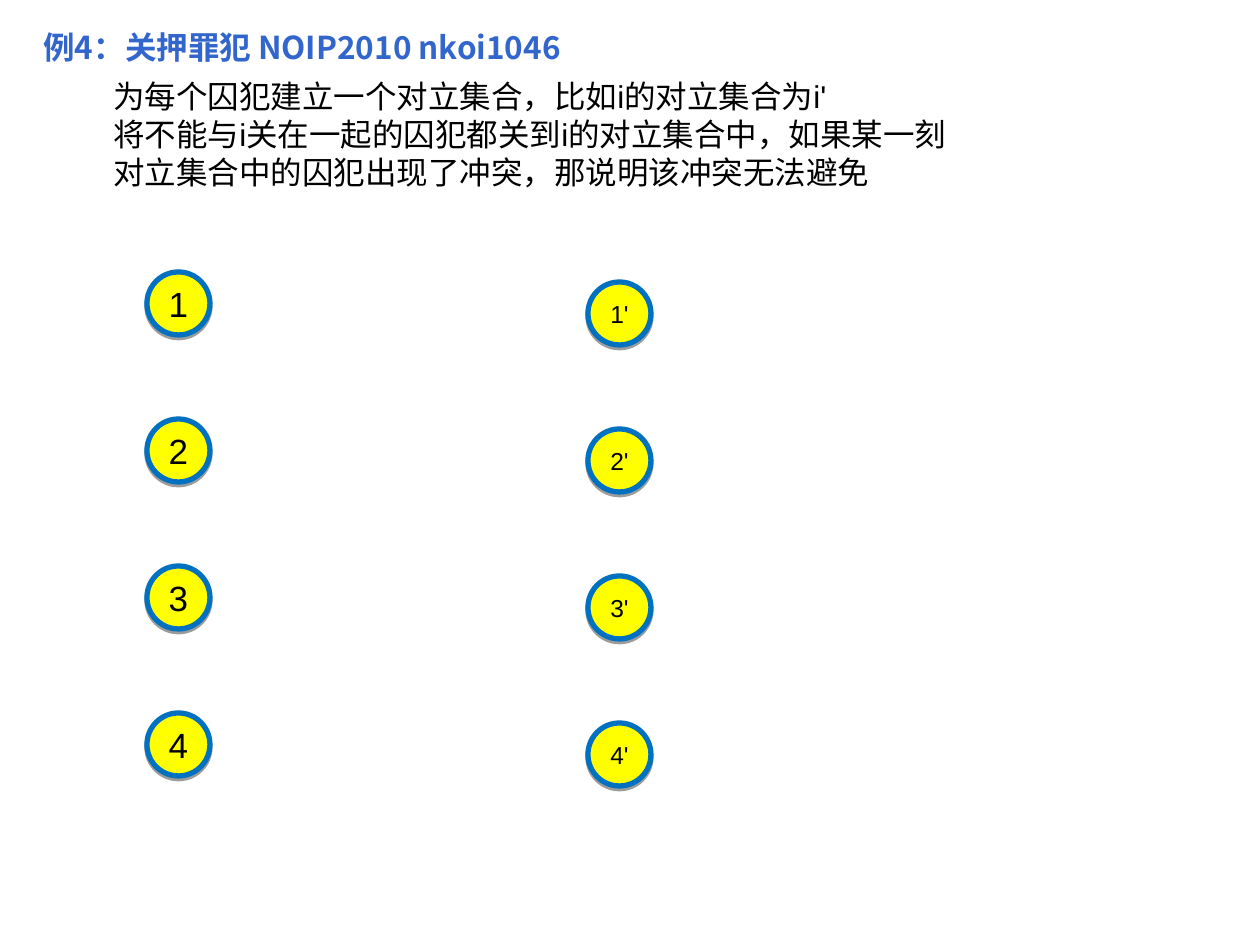
from dataclasses import dataclass

from lxml.etree import SubElement
from pptx import Presentation
from pptx.dml.color import RGBColor
from pptx.enum.shapes import MSO_SHAPE
from pptx.enum.text import MSO_ANCHOR, MSO_AUTO_SIZE, PP_ALIGN
from pptx.oxml.ns import qn
from pptx.util import Emu, Pt


@dataclass(frozen=True)
class Theme:
    """Colours, fonts and type sizes of the slide."""
    heading: str = "3366CC"
    ink: str = "000000"
    node_fill: str = "FFFF00"
    node_line: str = "0070C0"
    latin: str = "Arial"
    chinese: str = "Noto Sans CJK SC"
    body_size: int = 18
    prisoner_size: int = 20
    opposite_size: int = 14
    leading: float = 21.6


THEME = Theme()


def px(length):
    """Turn a length in px into EMU."""
    return Emu(round(length * 914400 / 126))


def write(frame, *lines, size=THEME.body_size, color=THEME.ink, font=THEME.latin,
          bold=False, align=PP_ALIGN.LEFT, leading=None):
    """Write one paragraph per line into a text frame."""
    for number, line in enumerate(lines):
        paragraph = frame.add_paragraph() if number else frame.paragraphs[0]
        paragraph.alignment = align
        if leading:
            paragraph.line_spacing = Pt(leading)
        run = paragraph.add_run()
        run.text = line
        run.font.size = Pt(size)
        run.font.bold = bold
        run.font.name = font
        run.font.color.rgb = RGBColor.from_string(color)
        SubElement(run.font._element, qn("a:ea"), typeface=THEME.chinese)


def add_passage(slide, box, *lines, **style):
    """Place a wrapping passage of text in the box."""
    frame = slide.shapes.add_textbox(*map(px, box)).text_frame
    frame.word_wrap = True
    frame.auto_size = MSO_AUTO_SIZE.SHAPE_TO_FIT_TEXT
    write(frame, *lines, leading=THEME.leading, **style)


def add_node(slide, box, label, size):
    """Place a numbered circle with a thin lower shadow."""
    node = slide.shapes.add_shape(MSO_SHAPE.OVAL, *map(px, box))
    node.fill.solid()
    node.fill.fore_color.rgb = RGBColor.from_string(THEME.node_fill)
    node.line.color.rgb = RGBColor.from_string(THEME.node_line)
    node.line.width = Pt(3)
    node.shadow.inherit = False
    effects = node._element.spPr.find(qn("a:effectLst"))
    shadow = SubElement(effects, qn("a:outerShdw"), blurRad="0", dist=str(Pt(1.6)),
                        dir="5400000", rotWithShape="0")
    tint = SubElement(shadow, qn("a:srgbClr"), val=THEME.ink)
    SubElement(tint, qn("a:alpha"), val="38000")
    node.text_frame.vertical_anchor = MSO_ANCHOR.MIDDLE
    write(node.text_frame, label, size=size, align=PP_ALIGN.CENTER)


def add_node_column(slide, box, labels, size):
    """Spread a column of circles evenly from the top to the bottom of the box."""
    left, top, diameter, height = box
    step = (height - diameter) / (len(labels) - 1)
    for row, label in enumerate(labels):
        add_node(slide, (left, top + row * step, diameter, diameter), label, size)


def main():
    """Build the slide and save it."""
    deck = Presentation()
    deck.slide_width, deck.slide_height = px(1260), px(945)
    slide = deck.slides.add_slide(deck.slide_layouts[6])

    add_passage(slide, (31, 22, 727, 50), "例4：关押罪犯 NOIP2010 nkoi1046",
                color=THEME.heading, font=THEME.chinese, bold=True)
    prisoners = ["1", "2", "3", "4"]
    opposites = [f"{prisoner}'" for prisoner in prisoners]
    add_node_column(slide, (147, 272, 63, 504), prisoners, THEME.prisoner_size)
    add_node_column(slide, (588, 282, 63, 504), opposites, THEME.opposite_size)
    add_passage(slide, (101, 71, 885, 126),
                "为每个囚犯建立一个对立集合，比如i的对立集合为i'",
                "将不能与i关在一起的囚犯都关到i的对立集合中，如果某一刻对立集合中的囚犯出现了冲突，那说明该冲突无法避免")

    deck.save("out.pptx")


if __name__ == "__main__":
    main()
